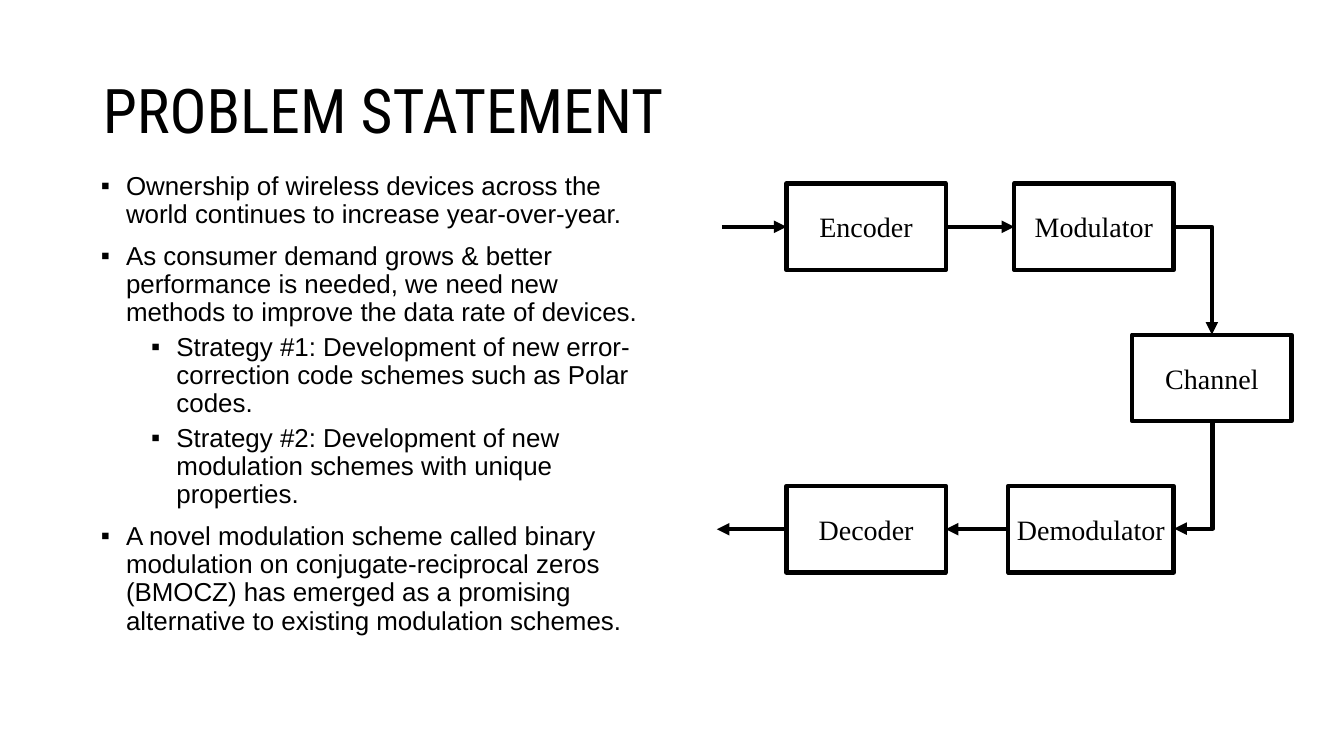
from lxml import etree
from pptx import Presentation
from pptx.dml.color import RGBColor
from pptx.enum.shapes import MSO_CONNECTOR, MSO_SHAPE
from pptx.enum.text import MSO_ANCHOR, MSO_AUTO_SIZE, PP_ALIGN
from pptx.oxml.ns import qn
from pptx.util import Inches, Pt

RECTANGLE = MSO_SHAPE.RECTANGLE
STRAIGHT, ELBOW = MSO_CONNECTOR.STRAIGHT, MSO_CONNECTOR.ELBOW
LEFT, CENTER = PP_ALIGN.LEFT, PP_ALIGN.CENTER
MIDDLE, TOP = MSO_ANCHOR.MIDDLE, MSO_ANCHOR.TOP
NO_AUTOFIT = MSO_AUTO_SIZE.NONE

COLORS = {"ink": "000000"}
INK = RGBColor.from_string(COLORS["ink"])


def set_font(paragraph, name, size):
    paragraph.font.name = name
    paragraph.font.size = Pt(size)
    paragraph.font.color.rgb = INK


def place(shape, left, top, width, height):
    shape.left, shape.top = Inches(left), Inches(top)
    shape.width, shape.height = Inches(width), Inches(height)


prs = Presentation()
prs.slide_width, prs.slide_height = Inches(13.33), Inches(7.5)
slide = prs.slides.add_slide(prs.slide_layouts[1])

heading = slide.shapes.title
place(heading, 0.92, 0.4, 11.5, 1.45)
heading.text_frame.text = "PROBLEM STATEMENT"
heading.text_frame.vertical_anchor = MIDDLE
heading.text_frame.auto_size = NO_AUTOFIT
heading_line = heading.text_frame.paragraphs[0]
heading_line.alignment = LEFT
heading_line.line_spacing = 0.9
set_font(heading_line, "Roboto Condensed", 44)

points = [
    (0, "Ownership of wireless devices across the world continues to increase year-over-year."),
    (0, "As consumer demand grows & better performance is needed, we need new methods "
        "to improve the data rate of devices."),
    (1, "Strategy #1: Development of new error-correction code schemes such as Polar codes."),
    (1, "Strategy #2: Development of new modulation schemes with unique properties."),
    (0, "A novel modulation scheme called binary modulation on conjugate-reciprocal zeros "
        "(BMOCZ) has emerged as a promising alternative to existing modulation schemes."),
]
argument = slide.placeholders[1]
place(argument, 0.9, 1.67, 5.67, 5.29)
argument.text_frame.auto_size = NO_AUTOFIT
argument.text_frame.vertical_anchor = TOP
argument.text_frame.text = "\n".join(text for _, text in points)
for i, (level, _) in enumerate(points):
    point = argument.text_frame.paragraphs[i]
    point.level = level
    point.alignment = LEFT
    point.line_spacing = 0.9
    point.space_before = Pt(0 if i == 0 else 5 if level else 10)
    properties = point._p.get_or_add_pPr()
    properties.set("marL", str(Inches(0.25 + 0.5 * level)))
    properties.set("indent", str(Inches(-0.25)))
    etree.SubElement(properties, qn("a:buFont"), typeface="Arial")
    etree.SubElement(properties, qn("a:buChar"), char="▪")
    set_font(point, "Arial", 18.5)

BLOCK_HEIGHT = 0.86
SEND_Y, CHANNEL_Y, RECEIVE_Y = 2.25, 3.75, 5.25
blocks = [
    ("Encoder", 7.8, SEND_Y, 1.58),
    ("Modulator", 10.06, SEND_Y, 1.58),
    ("Channel", 11.23, CHANNEL_Y, 1.58),
    ("Demodulator", 10, RECEIVE_Y, 1.64),
    ("Decoder", 7.8, RECEIVE_Y, 1.58),
]
for label, left, middle, width in blocks:
    block = slide.shapes.add_shape(RECTANGLE, 0, 0, 0, 0)
    place(block, left, middle - BLOCK_HEIGHT / 2, width, BLOCK_HEIGHT)
    block.shadow.inherit = False
    block.fill.background()
    block.line.color.rgb = INK
    block.line.width = Pt(3)
    block.text_frame.text = label
    block.text_frame.word_wrap = False
    block.text_frame.vertical_anchor = MIDDLE
    caption = block.text_frame.paragraphs[0]
    caption.alignment = CENTER
    set_font(caption, "Times New Roman", 20)

signals = [
    (STRAIGHT, 7.16, SEND_Y, 7.8, SEND_Y, 0),
    (STRAIGHT, 9.38, SEND_Y, 10.06, SEND_Y, 0),
    (ELBOW, 11.64, SEND_Y, 12.02, 3.32, 0),
    (ELBOW, 11.3, 4.52, 12.37, 4.9, 90),
    (STRAIGHT, 10, RECEIVE_Y, 9.38, RECEIVE_Y, 0),
    (STRAIGHT, 7.8, RECEIVE_Y, 7.11, RECEIVE_Y, 0),
]
for kind, x1, y1, x2, y2, turn in signals:
    signal = slide.shapes.add_connector(kind, Inches(x1), Inches(y1), Inches(x2), Inches(y2))
    signal.line.color.rgb = INK
    signal.line.width = Pt(3)
    outline = signal.element.spPr
    etree.SubElement(outline.find(qn("a:ln")), qn("a:tailEnd"), type="triangle")
    etree.SubElement(outline, qn("a:effectLst"))
    if kind == ELBOW:
        outline.find(qn("a:prstGeom")).set("prst", "bentConnector2")
        outline.find(qn("a:xfrm")).set("rot", str(turn * 60000))

prs.save("out.pptx")
